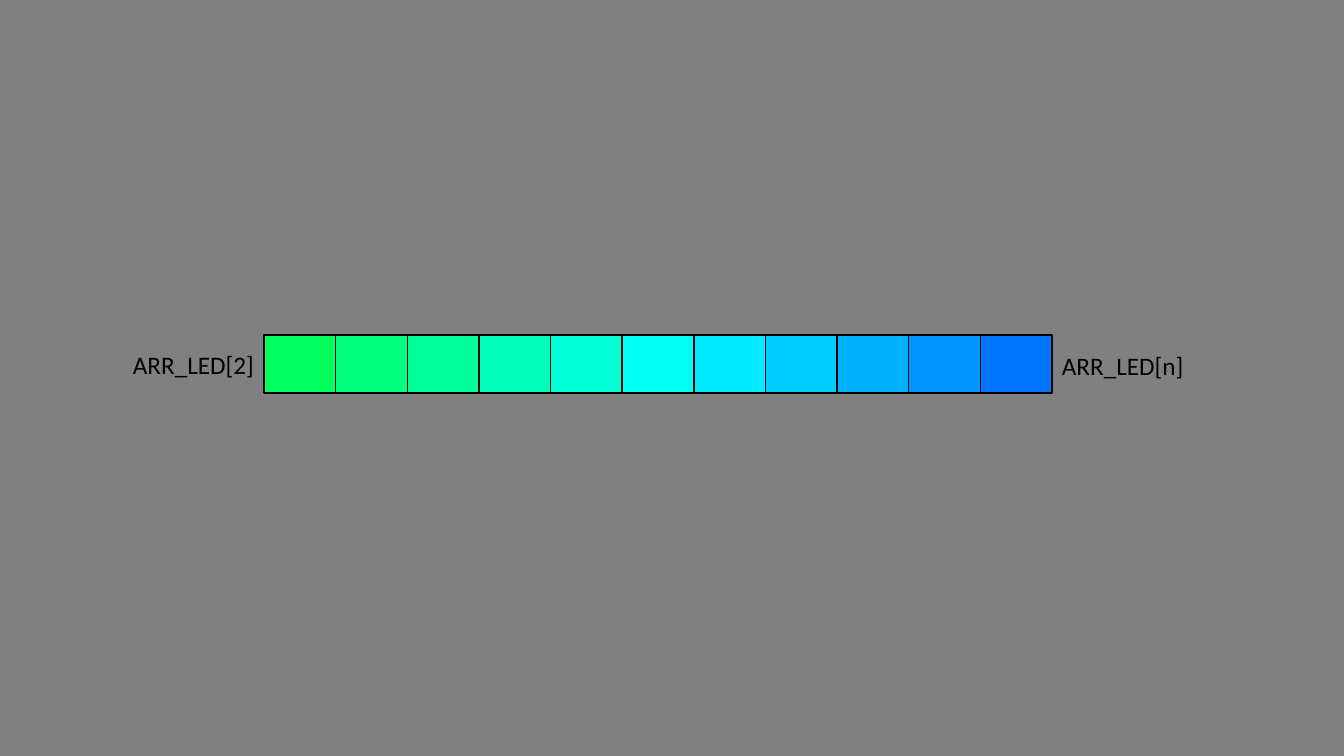
from pptx import Presentation
from pptx.dml.color import RGBColor
from pptx.enum.shapes import MSO_SHAPE
from pptx.enum.text import MSO_AUTO_SIZE
from pptx.util import Emu, Pt

BLACK = RGBColor(0x00, 0x00, 0x00)
GREY = RGBColor(0x80, 0x80, 0x80)
LED_COLORS = [
    RGBColor(0x01, 0xFF, 0x5D),
    RGBColor(0x01, 0xFF, 0x7B),
    RGBColor(0x01, 0xFF, 0x9A),
    RGBColor(0x01, 0xFF, 0xB8),
    RGBColor(0x01, 0xFF, 0xD6),
    RGBColor(0x01, 0xFF, 0xF4),
    RGBColor(0x01, 0xEA, 0xFF),
    RGBColor(0x01, 0xCC, 0xFF),
    RGBColor(0x01, 0xB3, 0xFF),
    RGBColor(0x01, 0x95, 0xFF),
    RGBColor(0x01, 0x75, 0xFF),
]


def px(n):
    """Convert pixels (1344 across the slide) to EMU."""
    return Emu(round(n * 12192000 / 1344))


prs = Presentation()
prs.slide_width, prs.slide_height = px(1344), px(756)
s = prs.slides.add_slide(prs.slide_layouts[6])
s.background.fill.solid()
s.background.fill.fore_color.rgb = GREY

# LED strip: equal cells side by side
strip_left, strip_top, strip_width, strip_height = px(264), px(335), px(788), px(58)
led_width = strip_width // len(LED_COLORS)
for i, color in enumerate(LED_COLORS):
    led = s.shapes.add_shape(MSO_SHAPE.RECTANGLE, strip_left + i * led_width,
                             strip_top, led_width, strip_height)
    led.shadow.inherit = False
    led.fill.solid()
    led.fill.fore_color.rgb = color
    led.line.color.rgb = BLACK
    led.line.width = Pt(1)

# Labels at both ends of the strip
for text, left, top in [("ARR_LED[2]", 123, 344), ("ARR_LED[n]", 1052, 345)]:
    tf = s.shapes.add_textbox(px(left), px(top), px(143), px(40)).text_frame
    tf.word_wrap = False
    tf.auto_size = MSO_AUTO_SIZE.SHAPE_TO_FIT_TEXT
    p = tf.paragraphs[0]
    p.text = text
    p.font.name = "Calibri"
    p.font.size = Pt(18)
    p.font.color.rgb = BLACK

prs.save("out.pptx")
